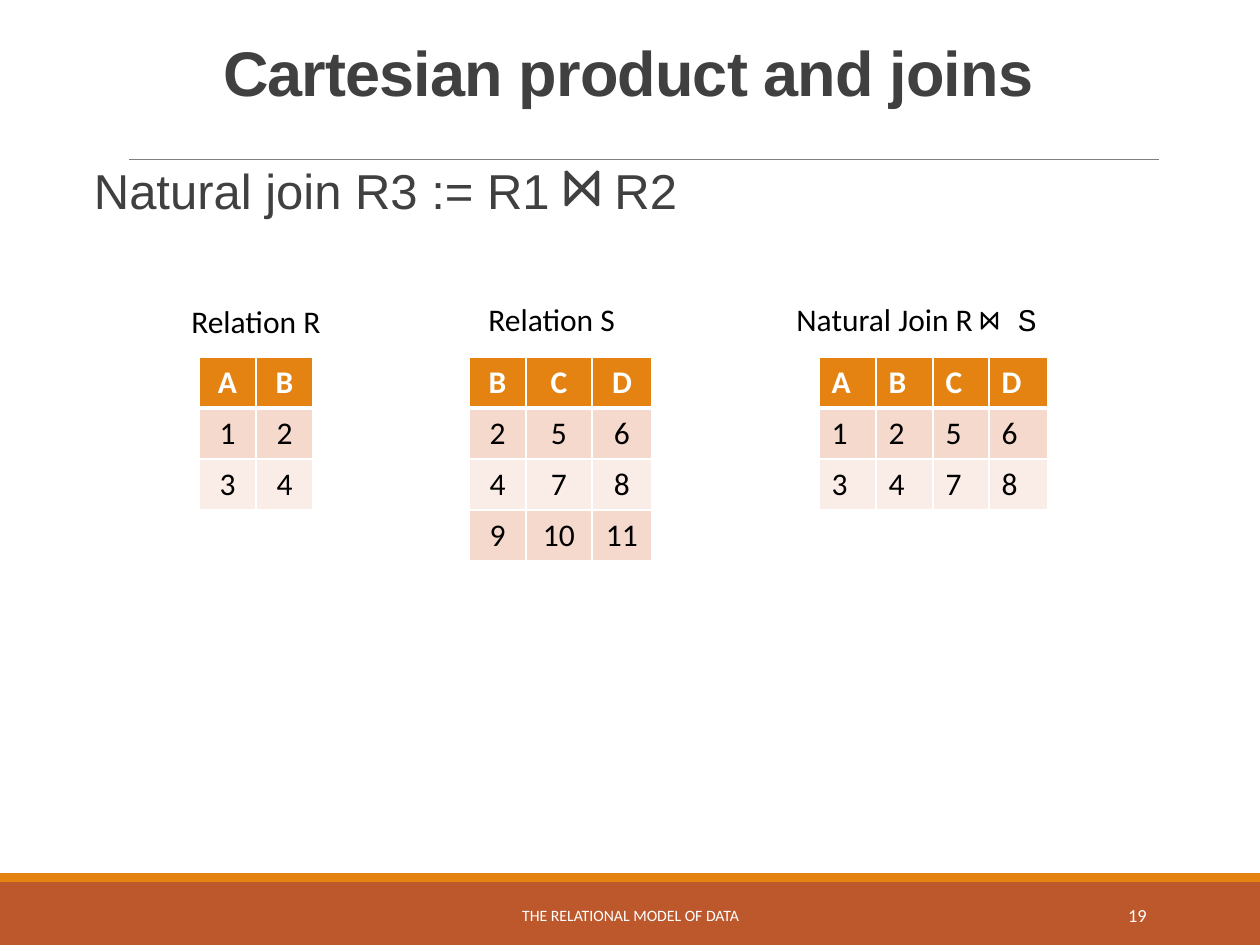
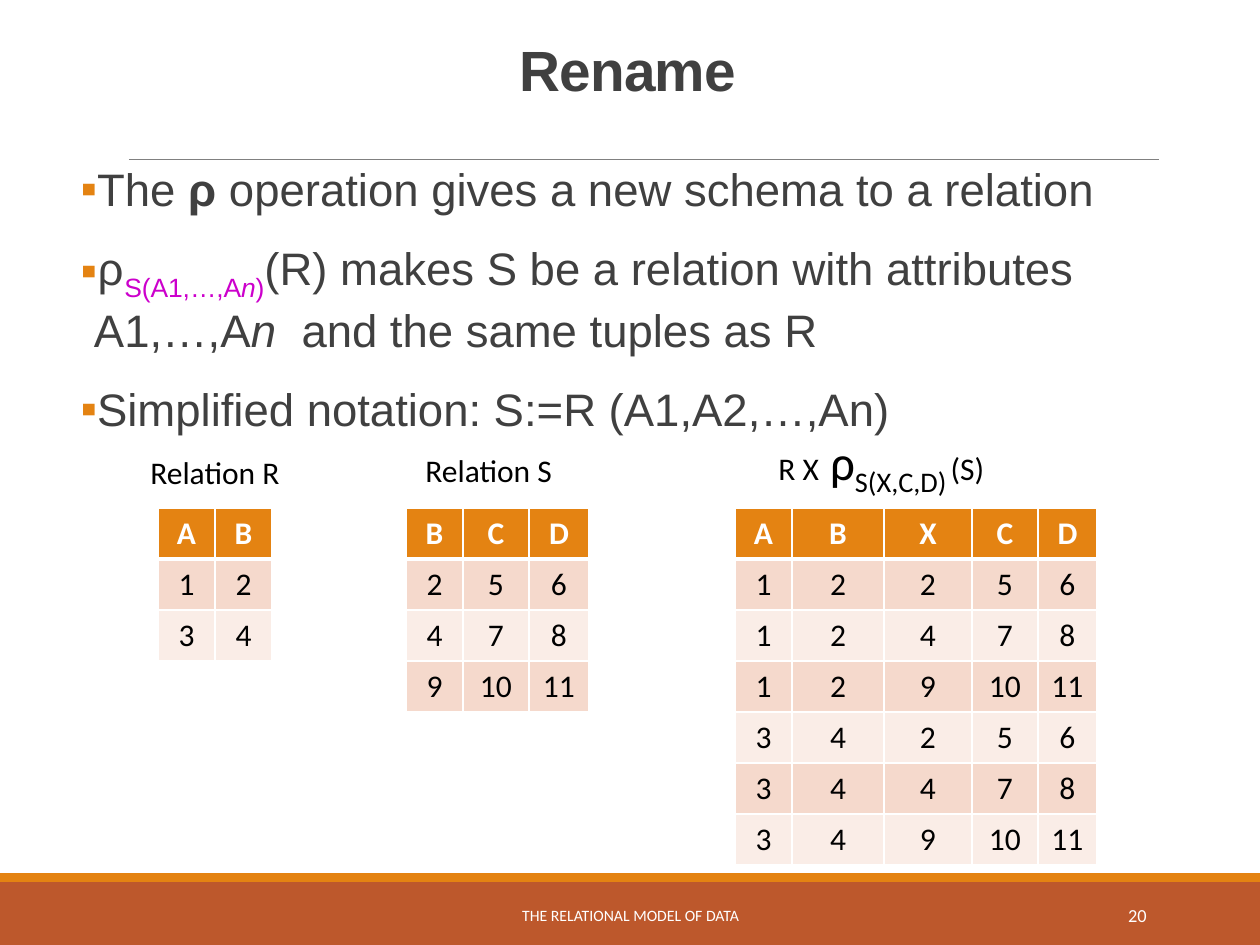
from lxml import etree
from pptx import Presentation
from pptx.dml.color import RGBColor
from pptx.enum.shapes import MSO_CONNECTOR, MSO_SHAPE
from pptx.enum.text import MSO_ANCHOR, MSO_AUTO_SIZE, PP_ALIGN
from pptx.oxml.ns import qn
from pptx.util import Pt

RECTANGLE = MSO_SHAPE.RECTANGLE
STRAIGHT = MSO_CONNECTOR.STRAIGHT
TOP, MIDDLE = MSO_ANCHOR.TOP, MSO_ANCHOR.MIDDLE
LEFT, CENTER, RIGHT = PP_ALIGN.LEFT, PP_ALIGN.CENTER, PP_ALIGN.RIGHT
FIXED, GROW = MSO_AUTO_SIZE.NONE, MSO_AUTO_SIZE.SHAPE_TO_FIT_TEXT

EMU_PER_INCH, PX_PER_INCH = 914400, 126
WIDTH, HEIGHT = 1260, 945
TITLE_ONLY = 5

WHITE, BLACK, INK = "FFFFFF", "000000", "404040"
ORANGE, RUST, GRAY, MAGENTA = "E48312", "BD582C", "808080", "CC00CC"
ROW_FILLS = ["F5D9CC", "FAEDE7"]
HEADING, TEXT, SYMBOL = "Arial", "Calibri", "Courier New"
FOOTER = "THE RELATIONAL MODEL OF DATA"
ROW_HEIGHT = 51

RELATION_R = ["AB", [1, 2], [3, 4]]
RELATION_S = ["BCD", [2, 5, 6], [4, 7, 8], [9, 10, 11]]
NATURAL_JOIN = ["ABCD", [1, 2, 5, 6], [3, 4, 7, 8]]
PRODUCT = ["ABXCD"] + [r + s for r in RELATION_R[1:] for s in RELATION_S[1:]]
R_COLUMNS, S_COLUMNS = [57, 57], [57, 66, 60]


def px(length):
    return round(length * EMU_PER_INCH / PX_PER_INCH)


def scaled(box):
    return [px(length) for length in box]


def color(code):
    return RGBColor.from_string(code)


def add_span(para, text, size, font=TEXT, ink=BLACK, bold=False,
             italic=False, baseline=0, spacing=0):
    span = para.add_run()
    span.text = text
    span.font.size = Pt(size)
    span.font.name = font
    span.font.color.rgb = color(ink)
    span.font.bold = bold
    span.font.italic = italic
    for name, value in (("baseline", baseline), ("spc", spacing)):
        if value:
            span._r.get_or_add_rPr().set(name, str(value))


def add_text_box(page, box, anchor=TOP, wrap=True):
    shape = page.shapes.add_textbox(*scaled(box))
    frame = shape.text_frame
    frame.word_wrap = wrap
    frame.auto_size = FIXED if wrap else GROW
    frame.vertical_anchor = anchor
    return frame


def add_band(page, box, fill):
    band = page.shapes.add_shape(RECTANGLE, *scaled(box))
    band.shadow.inherit = False
    band.fill.solid()
    band.fill.fore_color.rgb = color(fill)
    band.line.fill.background()


def add_rule(page, left, right, y):
    rule = page.shapes.add_connector(STRAIGHT, px(left), px(y), px(right), px(y))
    rule.line.color.rgb = color(GRAY)
    rule.line.width = Pt(0.5)
    etree.SubElement(rule._element.spPr, qn("a:effectLst"))


def add_footer(page, number):
    add_band(page, (0, 882, WIDTH, 63), RUST)
    add_band(page, (0, 873, WIDTH, 9), ORANGE)
    parts = [
        ((381, 890, 499, 50), FOOTER, 9, CENTER),
        ((1023, 890, 136, 50), str(number), 10.5, RIGHT),
    ]
    for box, text, size, align in parts:
        para = add_text_box(page, box, MIDDLE).paragraphs[0]
        para.alignment = align
        add_span(para, text, size, ink=WHITE)


def add_page(deck, title, size, number):
    page = deck.slides.add_slide(deck.slide_layouts[TITLE_ONLY])
    add_footer(page, number)
    add_rule(page, 129, 1159, 159)
    holder = page.shapes.title
    holder.left, holder.top, holder.width, holder.height = scaled((81, 39, 1094, 116))
    frame = holder.text_frame
    frame.auto_size = FIXED
    frame.vertical_anchor = TOP
    para = frame.paragraphs[0]
    para.alignment = CENTER
    para.line_spacing = 0.85
    add_span(para, title, size, HEADING, INK, bold=True, spacing=-50)
    return page


def add_body(page, box, size, paragraphs, bullet=None, line_spacing=1.0):
    frame = add_text_box(page, box)
    frame.margin_left = frame.margin_right = 0
    for index, spans in enumerate(paragraphs):
        para = frame.add_paragraph() if index else frame.paragraphs[0]
        para.line_spacing = line_spacing
        para.space_before, para.space_after = Pt(12), Pt(2)
        properties = para._p.get_or_add_pPr()
        properties.set("marL", str(px(13)))
        if bullet:
            properties.set("indent", str(-px(13)))
            shade = etree.SubElement(properties, qn("a:buClr"))
            etree.SubElement(shade, qn("a:srgbClr"), val=ORANGE)
            etree.SubElement(properties, qn("a:buFont"), typeface=TEXT)
            etree.SubElement(properties, qn("a:buChar"), char=bullet)
        for text, style in spans:
            add_span(para, text, **{"size": size, "font": HEADING, "ink": INK, **style})


def add_caption(page, box, spans):
    para = add_text_box(page, box, wrap=False).paragraphs[0]
    for text, style in spans:
        add_span(para, text, **{"size": 18, **style})


def add_cell_borders(cell, bottom):
    properties = cell._tc.get_or_add_tcPr()
    edges = [("a:lnL", 1), ("a:lnR", 1), ("a:lnT", 1), ("a:lnB", bottom)]
    for position, (edge, width) in enumerate(edges):
        line = etree.Element(qn(edge), w=str(Pt(width)))
        fill = etree.SubElement(line, qn("a:solidFill"))
        etree.SubElement(fill, qn("a:srgbClr"), val=WHITE)
        properties.insert(position, line)


def add_relation(page, left, top, columns, rows, align=CENTER):
    box = (left, top, sum(columns), ROW_HEIGHT * len(rows))
    table = page.shapes.add_table(len(rows), len(columns), *scaled(box)).table
    for column, width in zip(table.columns, columns):
        column.width = px(width)
    for row_index, values in enumerate(rows):
        header = row_index == 0
        table.rows[row_index].height = px(ROW_HEIGHT)
        for column_index, value in enumerate(values):
            cell = table.cell(row_index, column_index)
            cell.fill.solid()
            fill = ORANGE if header else ROW_FILLS[(row_index - 1) % 2]
            cell.fill.fore_color.rgb = color(fill)
            # header and first data row share the thick edge
            add_cell_borders(cell, 3 if header else 1)
            para = cell.text_frame.paragraphs[0]
            para.alignment = align
            add_span(para, str(value), 18, ink=WHITE if header else BLACK, bold=header)


def add_source_relations(page, left_r, left_s, top):
    add_caption(page, (left_r - 20, top - 61, 175, 50), [("Relation R", {})])
    add_relation(page, left_r, top, R_COLUMNS, RELATION_R)
    add_caption(page, (left_s + 7, top - 63, 170, 50), [("Relation S", {})])
    add_relation(page, left_s, top, S_COLUMNS, RELATION_S)


def build_join_page(deck):
    page = add_page(deck, "Cartesian product and joins", 36, 19)
    add_body(page, (81, 155, 1094, 82), 28, [[
        ("Natural join R3 := R1 ", {}),
        ("⋈", {"size": 36, "font": SYMBOL}),
        (" R2", {}),
    ]], line_spacing=0.8)
    top = 357
    add_source_relations(page, 199, 469, top)
    add_caption(page, (784, top - 63, 307, 50), [
        ("Natural Join R ", {}),
        ("⋈ S", {"font": SYMBOL}),
    ])
    add_relation(page, 819, top, [57, 57, 56, 59], NATURAL_JOIN, LEFT)


def build_rename_page(deck):
    page = add_page(deck, "Rename", 32.4, 20)
    subscript = {"ink": MAGENTA, "baseline": -25000}
    add_body(page, (81, 155, 1094, 292), 26, [
        [
            ("The ", {}),
            ("ρ", {"bold": True}),
            (" operation gives a new schema to a relation", {}),
        ],
        [
            ("ρ", {"font": SYMBOL}),
            ("S(A1,…,A", subscript),
            ("n", {**subscript, "italic": True}),
            (")", subscript),
            ("(R) makes S be a relation with attributes A1,…,A", {}),
            ("n", {"italic": True}),
            ("  and the same tuples as R", {}),
        ],
        [("Simplified notation: S:=R (A1,A2,…,An)", {})],
    ], bullet="▪")
    top = 508
    add_source_relations(page, 158, 406, top)
    add_relation(page, 735, top, [57, 92, 88, 66, 59], PRODUCT)
    add_caption(page, (766, top - 83, 295, 72), [
        ("R X", {}),
        (" ρ", {"size": 28}),
        ("S(X,C,D)", {"size": 28, "baseline": -25000}),
        (" ", {"baseline": -25000}),
        ("(S)", {}),
    ])


def main():
    deck = Presentation()
    deck.slide_width, deck.slide_height = px(WIDTH), px(HEIGHT)
    build_join_page(deck)
    build_rename_page(deck)
    deck.save("out.pptx")


if __name__ == "__main__":
    main()
